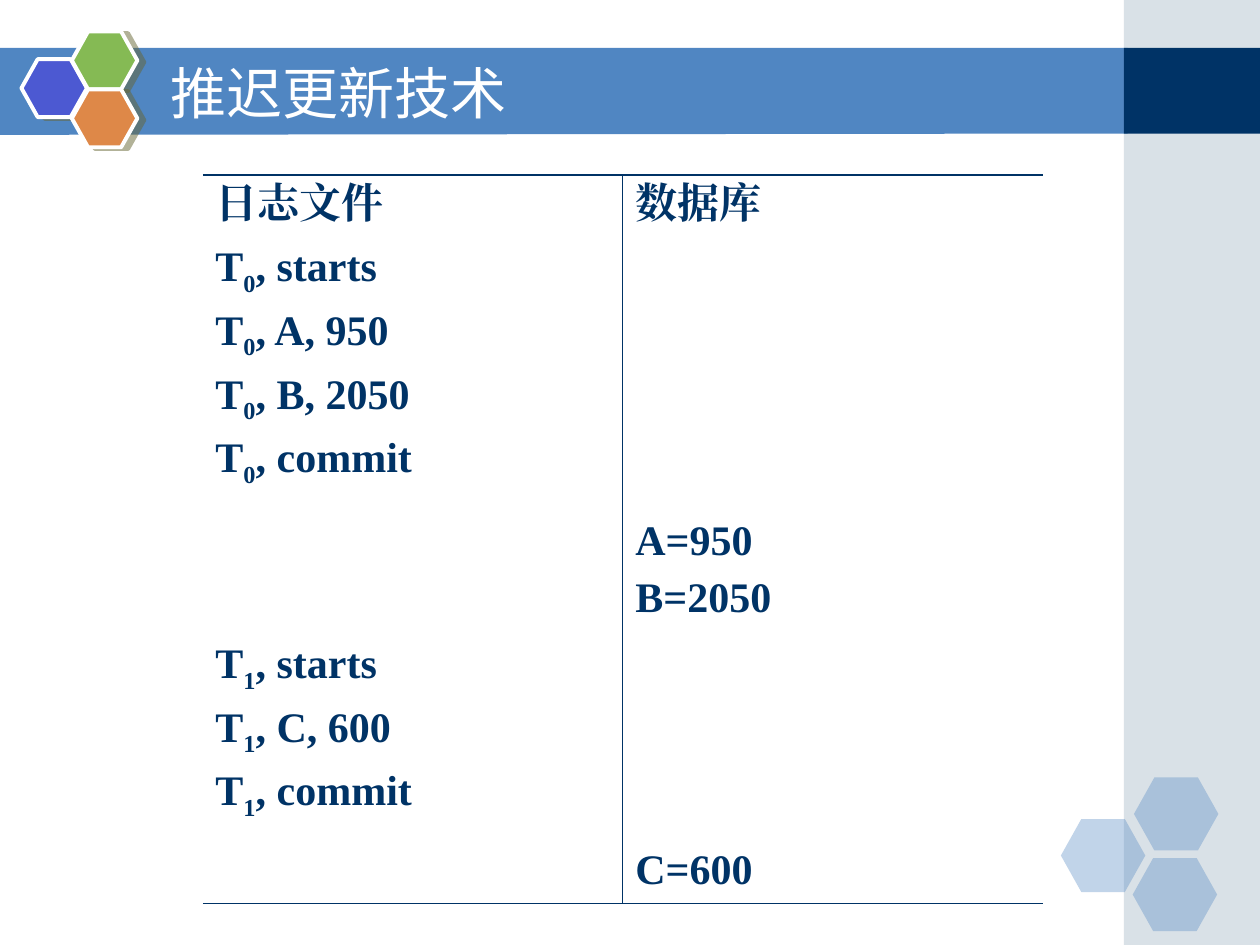
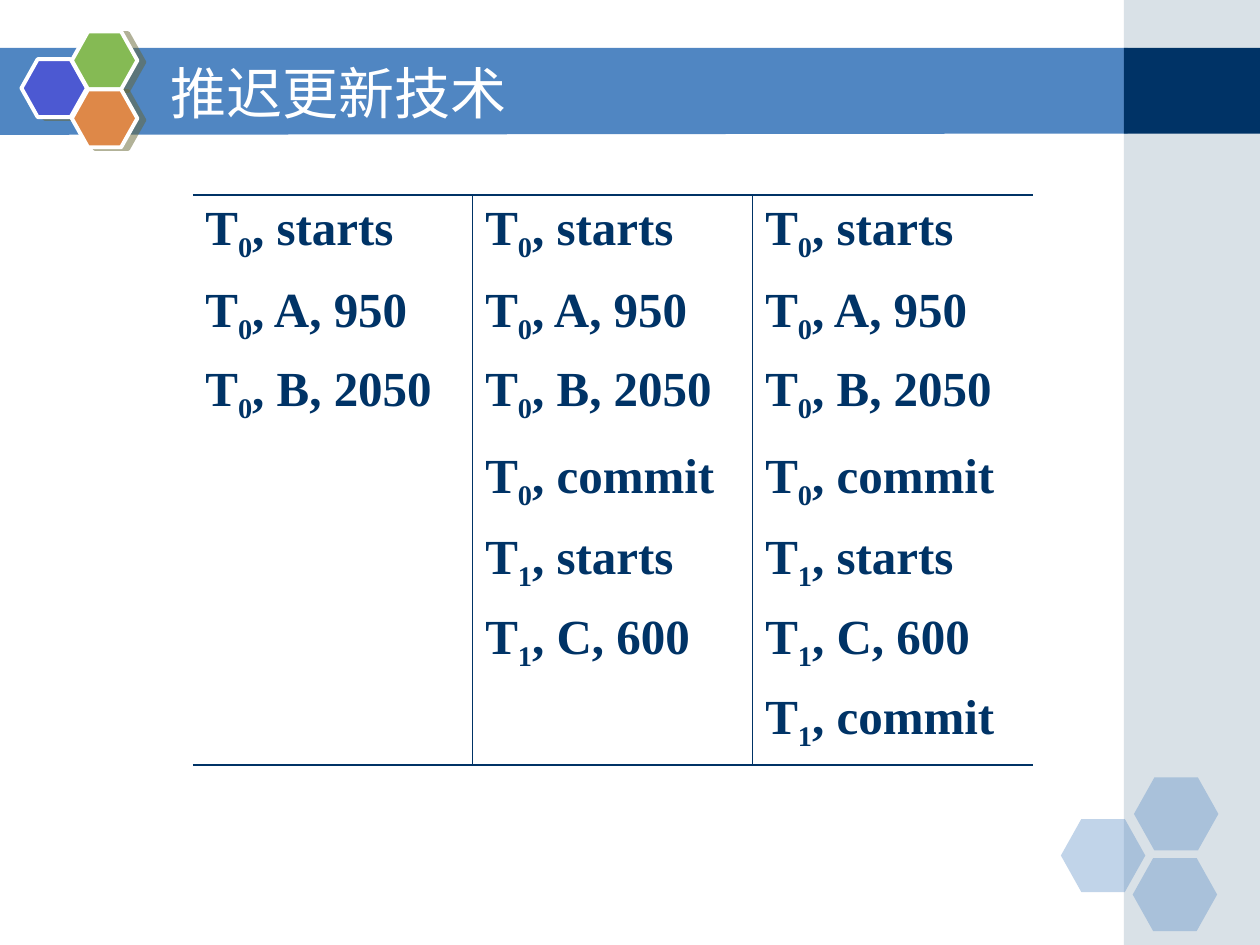
from dataclasses import dataclass

from lxml import etree
from pptx import Presentation
from pptx.dml.color import RGBColor
from pptx.enum.shapes import MSO_SHAPE as Shape
from pptx.enum.text import MSO_ANCHOR as Anchor, MSO_AUTO_SIZE as AutoSize, PP_ALIGN as Align
from pptx.oxml.ns import qn
from pptx.util import Pt


@dataclass(frozen=True)
class Theme:
    blue: str = "5086C2"
    navy: str = "003366"
    panel: str = "A0B5C4"
    indigo: str = "4C59D2"
    green: str = "85BA54"
    orange: str = "DE8848"
    white: str = "FFFFFF"
    shadow: str = "666633"
    title_font: str = "DejaVu Sans"
    table_font: str = "Times New Roman"
    title_size: float = 32
    outer_rule: float = 1.08
    inner_rule: float = 0.45


THEME = Theme()
TITLE = "推迟更新技术"


@dataclass(frozen=True)
class Block:
    left: float
    top: float
    width: float
    height: float
    color: str
    alpha: int = 100
    kind: Shape = Shape.RECTANGLE
    badge: bool = False  # white outline and shadow


def corner_hexagon(left: float, top: float) -> Block:
    return Block(left, top, 48.24, 41.76, THEME.blue, 35, Shape.HEXAGON)


def badge_hexagon(left: float, top: float, color: str) -> Block:
    return Block(left, top, 37.44, 33.12, color, kind=Shape.HEXAGON, badge=True)


DECOR = [
    Block(642.24, 0, 77.76, 540, THEME.panel, 40),
    Block(642.24, 27.36, 77.76, 49, THEME.navy),
    corner_hexagon(606.24, 468),
    corner_hexagon(648, 444.24),
    corner_hexagon(647.28, 490.32),
    badge_hexagon(12.24, 33.84, THEME.indigo),
    badge_hexagon(41.04, 18, THEME.green),
    badge_hexagon(41.04, 51.12, THEME.orange),
]


@dataclass(frozen=True)
class LogTable:
    left: float
    top: float
    col_width: float
    row_heights: list[float]
    size: float
    space_before: float
    rows: list[list[list[str]]]  # row > cell > lines


T0_LOG = ["T0, starts", "T0, A, 950", "T0, B, 2050", "T0, commit"]
T1_LOG = ["T1, starts", "T1, C, 600", "T1, commit"]
FULL_LOG = T0_LOG + T1_LOG
LOG_LENGTHS = (3, 6, 7)  # entries written at each moment

TABLES = [
    LogTable(115.92, 100.08, 240, [36, 156.24, 70.56, 117.36, 36], 24, 6, [
        [["日志文件"], ["数据库"]],
        [T0_LOG, []],
        [[], ["A=950", "B=2050"]],
        [T1_LOG, []],
        [[], ["C=600"]],
    ]),
    LogTable(110.16, 111.6, 160, [46.8, 45.36, 49.68, 46.08, 46.08, 45.36, 46.08], 28, 7, [
        [[entry] if i < length else [] for length in LOG_LENGTHS]
        for i, entry in enumerate(FULL_LOG)
    ]),
]


def rgb(color: str) -> RGBColor:
    return RGBColor.from_string(color)


def add_color(parent, color: str, alpha: int = 100) -> None:
    clr = etree.SubElement(parent, qn("a:srgbClr"), val=color)
    if alpha < 100:
        etree.SubElement(clr, qn("a:alpha"), val=str(alpha * 1000))


def format_run(r, font: str, size: float, color: str, bold: bool = False) -> None:
    r.font.name, r.font.size, r.font.bold = font, Pt(size), bold
    r.font.color.rgb = rgb(color)
    etree.SubElement(r.font._element, qn("a:ea"), typeface=font)


# Shared decoration
def paint(sp, color: str, alpha: int = 100) -> None:
    sp.shadow.inherit = False
    sp.fill.solid()
    sp.fill.fore_color.rgb = rgb(color)
    sp.line.fill.background()
    if alpha < 100:
        clr = sp._element.spPr.find(qn("a:solidFill")).find(qn("a:srgbClr"))
        etree.SubElement(clr, qn("a:alpha"), val=str(alpha * 1000))


def add_block(shapes, block: Block) -> None:
    sp = shapes.add_shape(block.kind, Pt(block.left), Pt(block.top),
                          Pt(block.width), Pt(block.height))
    paint(sp, block.color, block.alpha)
    if block.kind == Shape.HEXAGON:
        sp.adjustments[0] = 0.28
    if block.badge:
        sp.line.color.rgb = rgb(THEME.white)
        sp.line.width = Pt(2.25)
        effects = sp._element.spPr.find(qn("a:effectLst"))
        shadow = etree.SubElement(effects, qn("a:outerShdw"), dist=str(Pt(4.1)),
                                  dir=str(14 * 60000), algn="ctr", rotWithShape="0")
        add_color(shadow, THEME.shadow, 50)


def add_band(shapes) -> None:
    builder = shapes.build_freeform(Pt(-0.72), Pt(27.36))
    builder.add_line_segments([(Pt(644.4), Pt(27.36)), (Pt(644.4), Pt(76.32)),
                               (Pt(-0.72), Pt(77.04))])
    paint(builder.convert_to_shape(), THEME.blue)


def decorate_layout(layout, slide) -> None:
    """Draw the decoration on a slide, then move it behind the layout's placeholders."""
    add_band(slide.shapes)
    for block in DECOR:
        add_block(slide.shapes, block)
    tree = layout.shapes._spTree
    drawn = [sp for sp in slide.shapes if not sp.is_placeholder]
    for i, sp in enumerate(drawn):
        sp._element.nvSpPr.cNvPr.set("id", str(100 + i))
        tree.insert(2 + i, sp._element)


# Title
def set_title(slide) -> None:
    sp = slide.shapes.title
    sp.left, sp.top, sp.width, sp.height = Pt(90), Pt(30.24), Pt(527.76), Pt(44.64)
    tf = sp.text_frame
    tf.text = TITLE
    tf.auto_size = AutoSize.NONE
    tf.vertical_anchor = Anchor.MIDDLE
    p = tf.paragraphs[0]
    p.alignment = Align.LEFT
    format_run(p.runs[0], THEME.title_font, THEME.title_size, THEME.white)


# Table
def set_borders(cell, widths: dict[str, float]) -> None:
    tc_pr = cell._tc.get_or_add_tcPr()
    for side, width in widths.items():
        ln = etree.SubElement(tc_pr, qn(f"a:ln{side}"), w=str(Pt(width)))
        if width:
            add_color(etree.SubElement(ln, qn("a:solidFill")), THEME.navy)
        else:
            etree.SubElement(ln, qn("a:noFill"))


def fill_cell(cell, lines: list[str], spec_table: LogTable) -> None:
    tf = cell.text_frame
    for i, line in enumerate(lines):
        p = tf.add_paragraph() if i else tf.paragraphs[0]
        p.space_before = Pt(spec_table.space_before)
        # The digit of a transaction name is a subscript
        parts = [line[0], line[1], line[2:]] if line.startswith("T") else [line]
        for n, part in enumerate(parts):
            r = p.add_run()
            r.text = part
            format_run(r, THEME.table_font, spec_table.size, THEME.navy, bold=True)
            if n == 1:
                r.font._element.set("baseline", "-25000")


def add_log_table(slide, log: LogTable) -> None:
    n_rows, n_cols = len(log.rows), len(log.rows[0])
    table = slide.shapes.add_table(n_rows, n_cols, Pt(log.left), Pt(log.top),
                                   Pt(log.col_width * n_cols), Pt(sum(log.row_heights))).table
    table.first_row = table.horz_banding = False
    for col in table.columns:
        col.width = Pt(log.col_width)
    for i, (row, height) in enumerate(zip(log.rows, log.row_heights)):
        table.rows[i].height = Pt(height)
        for j, lines in enumerate(row):
            cell = table.cell(i, j)
            set_borders(cell, {
                "L": THEME.inner_rule if j else 0,
                "R": THEME.inner_rule if j < n_cols - 1 else 0,
                "T": 0 if i else THEME.outer_rule,
                "B": THEME.outer_rule if i == n_rows - 1 else 0,
            })
            cell.fill.background()
            fill_cell(cell, lines, log)


def main() -> None:
    prs = Presentation()
    prs.slide_width, prs.slide_height = Pt(720), Pt(540)
    layout = prs.slide_layouts[5]
    for i, log in enumerate(TABLES):
        slide = prs.slides.add_slide(layout)
        if i == 0:
            decorate_layout(layout, slide)
        set_title(slide)
        add_log_table(slide, log)
    prs.save("out.pptx")


if __name__ == "__main__":
    main()
